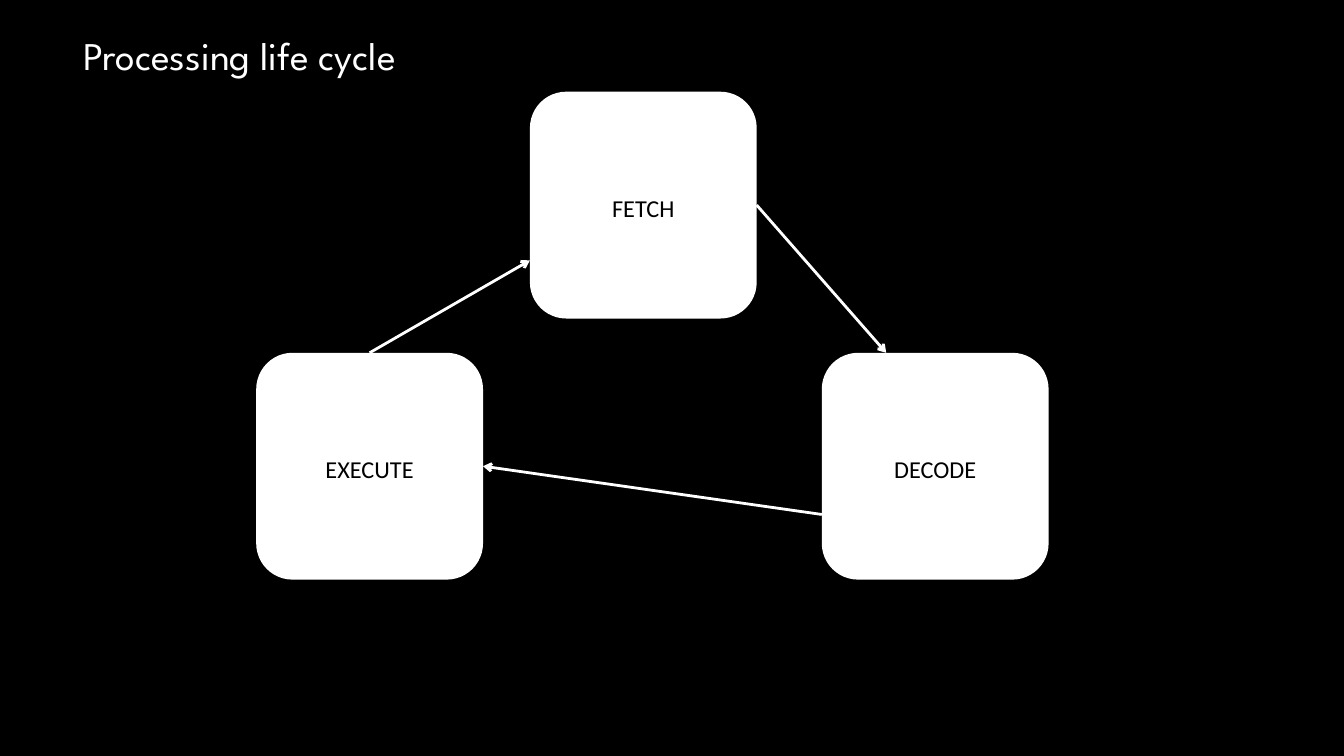
from lxml import etree
from pptx import Presentation
from pptx.dml.color import RGBColor
from pptx.enum.shapes import MSO_CONNECTOR, MSO_SHAPE
from pptx.enum.text import MSO_ANCHOR, PP_ALIGN
from pptx.oxml.ns import qn
from pptx.util import Emu, Pt

ROUNDED = MSO_SHAPE.ROUNDED_RECTANGLE
STRAIGHT = MSO_CONNECTOR.STRAIGHT
MIDDLE, TOP = MSO_ANCHOR.MIDDLE, MSO_ANCHOR.TOP
CENTER = PP_ALIGN.CENTER

EMU_PER_PX = 9525
BLACK, WHITE = "000000", "FFFFFF"
STAGE_SIZE = 324
HALF = STAGE_SIZE // 2


def px(length):
    return Emu(length * EMU_PER_PX)


def color(hex_string):
    return RGBColor.from_string(hex_string)


def set_text(shape, text, font, size, ink, line_spacing, anchor, insets):
    frame = shape.text_frame
    frame.word_wrap = True
    frame.vertical_anchor = anchor
    left, top, right, bottom = map(px, insets)
    frame.margin_left, frame.margin_top = left, top
    frame.margin_right, frame.margin_bottom = right, bottom
    frame.text = text
    para = frame.paragraphs[0]
    para.alignment = CENTER
    para.line_spacing = Pt(line_spacing)
    span = para.runs[0]
    span.font.name = font
    span.font.size = Pt(size)
    span.font.color.rgb = color(ink)


def add_title(page, text):
    box = page.shapes.add_textbox(px(57), px(33), px(570), px(76))
    set_text(box, text, "League Spartan", 42, WHITE, 58.8, TOP, (0, 0, 0, 0))


def add_stage(page, name, left, top):
    stage = page.shapes.add_shape(ROUNDED, px(left), px(top), px(STAGE_SIZE), px(STAGE_SIZE))
    stage.adjustments[0] = 0.16
    stage.shadow.inherit = False
    stage.fill.solid()
    stage.fill.fore_color.rgb = color(WHITE)
    stage.line.fill.background()
    # The larger top inset sets the label slightly below the middle
    set_text(stage, name, "Calibri", 26, BLACK, 28.6, MIDDLE, (6, 17, 6, 6))


def add_arrow(page, start, end):
    arrow = page.shapes.add_connector(STRAIGHT, *map(px, start + end))
    arrow.line.color.rgb = color(WHITE)
    arrow.line.width = Pt(3)
    properties = arrow._element.spPr
    head = etree.SubElement(properties.find(qn("a:ln")), qn("a:tailEnd"))
    head.set("type", "arrow")
    etree.SubElement(properties, qn("a:effectLst"))


def main():
    deck = Presentation()
    deck.slide_width, deck.slide_height = px(1920), px(1080)
    page = deck.slides.add_slide(deck.slide_layouts[6])
    page.background.fill.solid()
    page.background.fill.fore_color.rgb = color(BLACK)

    # Stages of the cycle
    fetch, decode, execute = (757, 131), (1174, 504), (366, 504)
    for name, corner in (("FETCH", fetch), ("DECODE", decode), ("EXECUTE", execute)):
        add_stage(page, name, *corner)

    # Arrows from each stage to the next
    fetch_right = (fetch[0] + STAGE_SIZE, fetch[1] + HALF)
    execute_top = (execute[0] + HALF, execute[1])
    execute_right = (execute[0] + STAGE_SIZE, execute[1] + HALF)
    add_arrow(page, fetch_right, (1266, decode[1]))
    add_arrow(page, execute_top, (fetch[0], 372))
    add_arrow(page, (decode[0], 735), execute_right)

    add_title(page, "Processing life cycle")
    deck.save("out.pptx")


if __name__ == "__main__":
    main()
